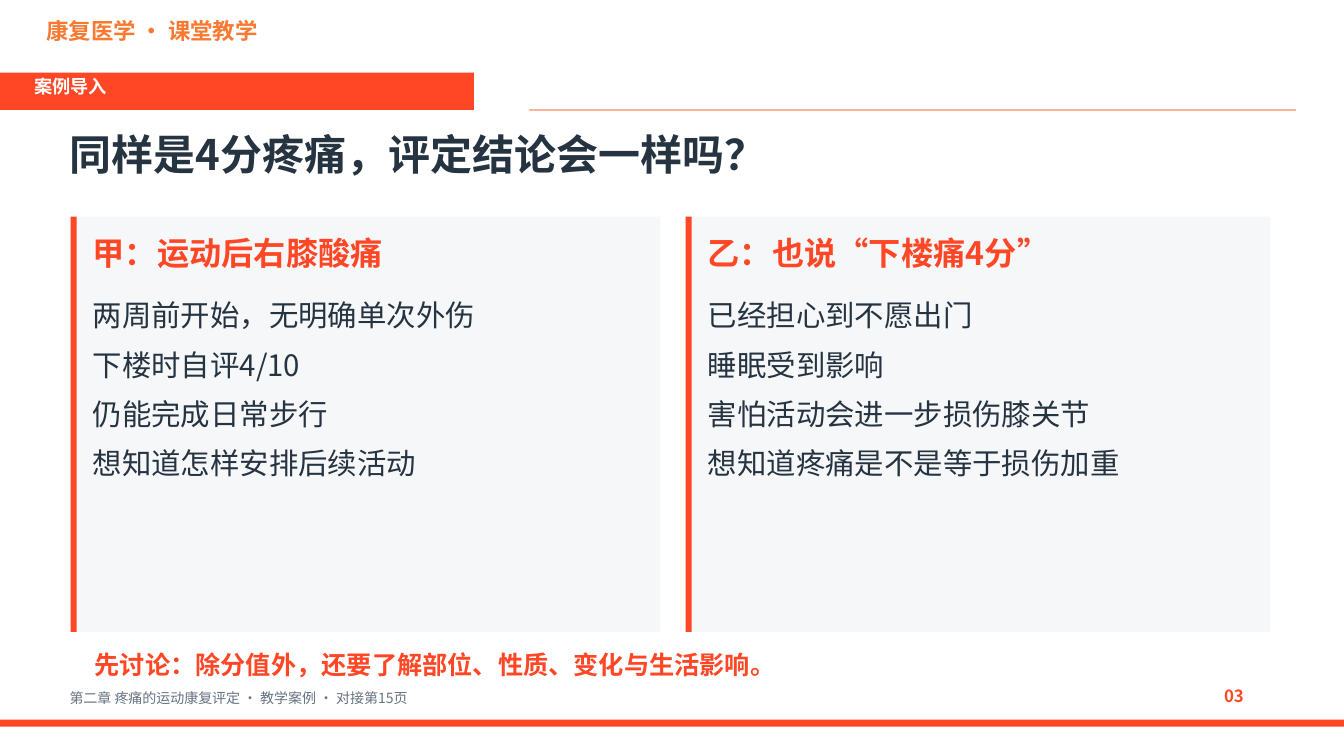
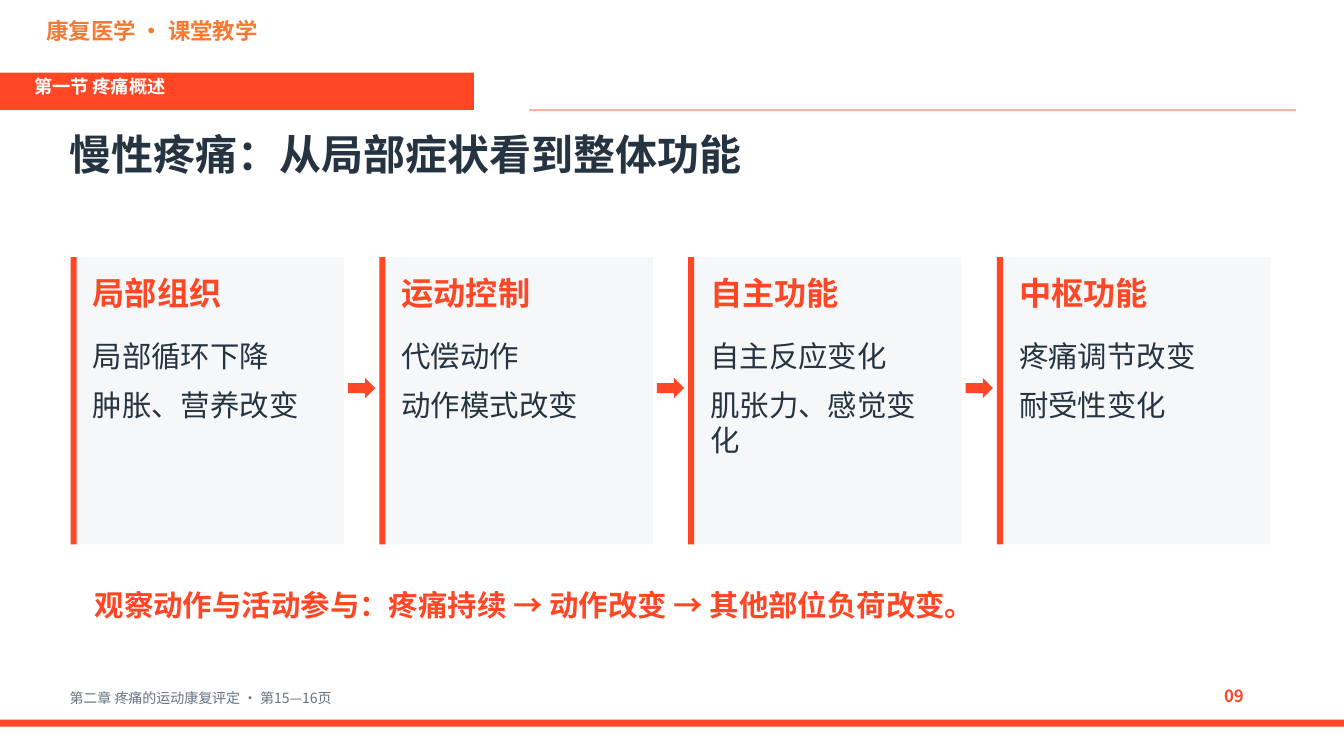
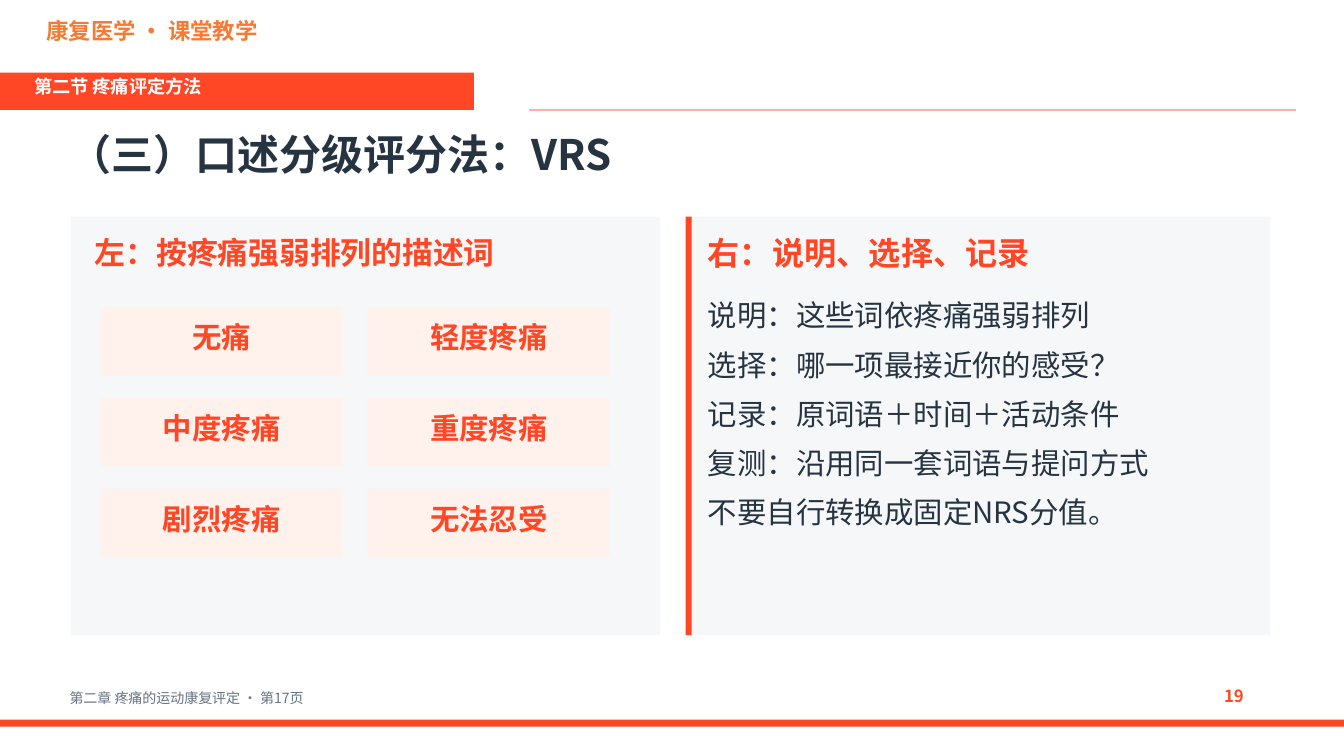
from lxml.etree import SubElement
from pptx import Presentation
from pptx.dml.color import RGBColor
from pptx.enum.shapes import MSO_CONNECTOR, MSO_SHAPE
from pptx.enum.text import MSO_ANCHOR, MSO_AUTO_SIZE, PP_ALIGN
from pptx.oxml.ns import qn
from pptx.util import Inches, Pt

FONT = "Noto Sans CJK SC"
RED = "FF4726"
ORANGE = "F87931"
INK = "263442"
GREY = "667381"
WHITE = "FFFFFF"
PANEL = "F6F7F9"
BLUSH = "FFF2EC"
RULE = "FFB19F"

SLIDE_WIDTH = 13.33
LEFT = 0.7
RIGHT = 12.6


def color(value):
    return RGBColor.from_string(value)


def add_block(page, left, top, width, height, fill, kind=MSO_SHAPE.RECTANGLE):
    block = page.shapes.add_shape(
        kind, Inches(left), Inches(top), Inches(width), Inches(height)
    )
    block.shadow.inherit = False
    block.fill.solid()
    block.fill.fore_color.rgb = color(fill)
    block.line.fill.background()


def add_text(page, left, top, width, height, lines, size, ink,
             bold=False, align=PP_ALIGN.LEFT):
    box = page.shapes.add_textbox(
        Inches(left), Inches(top), Inches(width), Inches(height)
    )
    frame = box.text_frame
    frame.word_wrap = True
    frame.auto_size = MSO_AUTO_SIZE.SHAPE_TO_FIT_TEXT
    frame.vertical_anchor = MSO_ANCHOR.TOP
    frame.margin_left = frame.margin_right = Inches(0.04)
    frame.margin_top = Inches(0.02)
    frame.margin_bottom = 0
    frame.text = "\n".join(lines)
    for para in frame.paragraphs:
        para.alignment = align
        para.space_after = Pt(10)
        para.font.size = Pt(size)
        para.font.bold = bold
        para.font.color.rgb = color(ink)
        para.font.name = FONT
        defaults = para._p.pPr.find(qn("a:defRPr"))
        SubElement(defaults, qn("a:ea")).set("typeface", FONT)


def add_rule(page, left, right, top):
    rule = page.shapes.add_connector(
        MSO_CONNECTOR.STRAIGHT,
        Inches(left), Inches(top), Inches(right), Inches(top),
    )
    rule.line.color.rgb = color(RULE)
    rule.line.width = Pt(1)
    SubElement(rule._element.spPr, qn("a:effectLst"))


def add_page(deck, section, title, reference, number):
    page = deck.slides.add_slide(deck.slide_layouts[6])
    add_block(page, 0, 7.14, SLIDE_WIDTH, 0.07, RED)
    add_text(page, 0.42, 0.15, 3.5, 0.4, ["康复医学 · 课堂教学"], 16, ORANGE, True)
    add_block(page, 0, 0.72, 4.7, 0.37, RED)
    add_text(page, 0.3, 0.73, 4.2, 0.32, [section], 13, WHITE, True)
    add_text(page, 0.65, 1.25, 12, 0.65, [title], 30, INK, True)
    add_rule(page, 5.25, 12.85, 1.09)
    footer = f"第二章 疼痛的运动康复评定 · {reference}"
    add_text(page, 0.65, 6.82, 11, 0.23, [footer], 10, GREY)
    add_text(page, 12.1, 6.78, 0.6, 0.3, [number], 12, RED, True)
    return page


def add_card(page, left, top, width, height, heading, lines):
    add_block(page, left, top, width, height, PANEL)
    add_block(page, left, top, 0.06, height, RED)
    text_left, text_width = left + 0.18, width - 0.35
    add_text(page, text_left, top + 0.14, text_width, 0.45, [heading], 23, RED, True)
    add_text(page, text_left, top + 0.78, text_width, height - 0.87, lines, 21, INK)


def add_conclusion(page, top, height, text, size):
    add_text(page, 0.9, top, 11.6, height, [text], size, RED, True)


def add_chain(page, top, height, steps):
    gap = 0.35
    width = (RIGHT - LEFT - gap * (len(steps) - 1)) / len(steps)
    for index, (heading, lines) in enumerate(steps):
        left = LEFT + index * (width + gap)
        if index:
            add_block(page, left - gap + 0.04, top + 1.2, 0.27, 0.2, RED,
                      MSO_SHAPE.RIGHT_ARROW)
        add_card(page, left, top, width, height, heading, lines)


def add_word_grid(page, left, top, words):
    for index, word in enumerate(words):
        row, column = divmod(index, 2)
        word_left = left + column * 2.65
        word_top = top + row * 0.9
        add_block(page, word_left, word_top, 2.4, 0.68, BLUSH)
        add_text(page, word_left, word_top + 0.1, 2.4, 0.45, [word], 21, RED,
                 True, PP_ALIGN.CENTER)


def build_case_page(deck):
    page = add_page(deck, "案例导入", "同样是4分疼痛，评定结论会一样吗？",
                    "教学案例 · 对接第15页", "03")
    add_card(page, LEFT, 2.15, 5.85, 4.12, "甲：运动后右膝酸痛", [
        "两周前开始，无明确单次外伤",
        "下楼时自评4/10",
        "仍能完成日常步行",
        "想知道怎样安排后续活动",
    ])
    add_card(page, 6.8, 2.15, 5.8, 4.12, "乙：也说“下楼痛4分”", [
        "已经担心到不愿出门",
        "睡眠受到影响",
        "害怕活动会进一步损伤膝关节",
        "想知道疼痛是不是等于损伤加重",
    ])
    add_conclusion(page, 6.42, 0.35,
                   "先讨论：除分值外，还要了解部位、性质、变化与生活影响。", 18)


def build_chronic_page(deck):
    page = add_page(deck, "第一节 疼痛概述", "慢性疼痛：从局部症状看到整体功能",
                    "第15—16页", "09")
    add_chain(page, 2.55, 2.85, [
        ("局部组织", ["局部循环下降", "肿胀、营养改变"]),
        ("运动控制", ["代偿动作", "动作模式改变"]),
        ("自主功能", ["自主反应变化", "肌张力、感觉变化"]),
        ("中枢功能", ["疼痛调节改变", "耐受性变化"]),
    ])
    add_conclusion(page, 5.8, 0.6,
                   "观察动作与活动参与：疼痛持续 → 动作改变 → 其他部位负荷改变。", 21)


def build_scale_page(deck):
    page = add_page(deck, "第二节 疼痛评定方法", "（三）口述分级评分法：VRS",
                    "第17页", "19")
    add_block(page, LEFT, 2.15, 5.85, 4.15, PANEL)
    add_text(page, 0.9, 2.3, 5.45, 0.45, ["左：按疼痛强弱排列的描述词"], 22, RED, True)
    add_word_grid(page, 1, 3.05, [
        "无痛", "轻度疼痛", "中度疼痛", "重度疼痛", "剧烈疼痛", "无法忍受",
    ])
    add_card(page, 6.8, 2.15, 5.8, 4.15, "右：说明、选择、记录", [
        "说明：这些词依疼痛强弱排列",
        "选择：哪一项最接近你的感受？",
        "记录：原词语＋时间＋活动条件",
        "复测：沿用同一套词语与提问方式",
        "不要自行转换成固定NRS分值。",
    ])


def main():
    deck = Presentation()
    deck.slide_width = Inches(SLIDE_WIDTH)
    deck.slide_height = Inches(7.5)
    build_case_page(deck)
    build_chronic_page(deck)
    build_scale_page(deck)
    deck.save("out.pptx")


if __name__ == "__main__":
    main()
